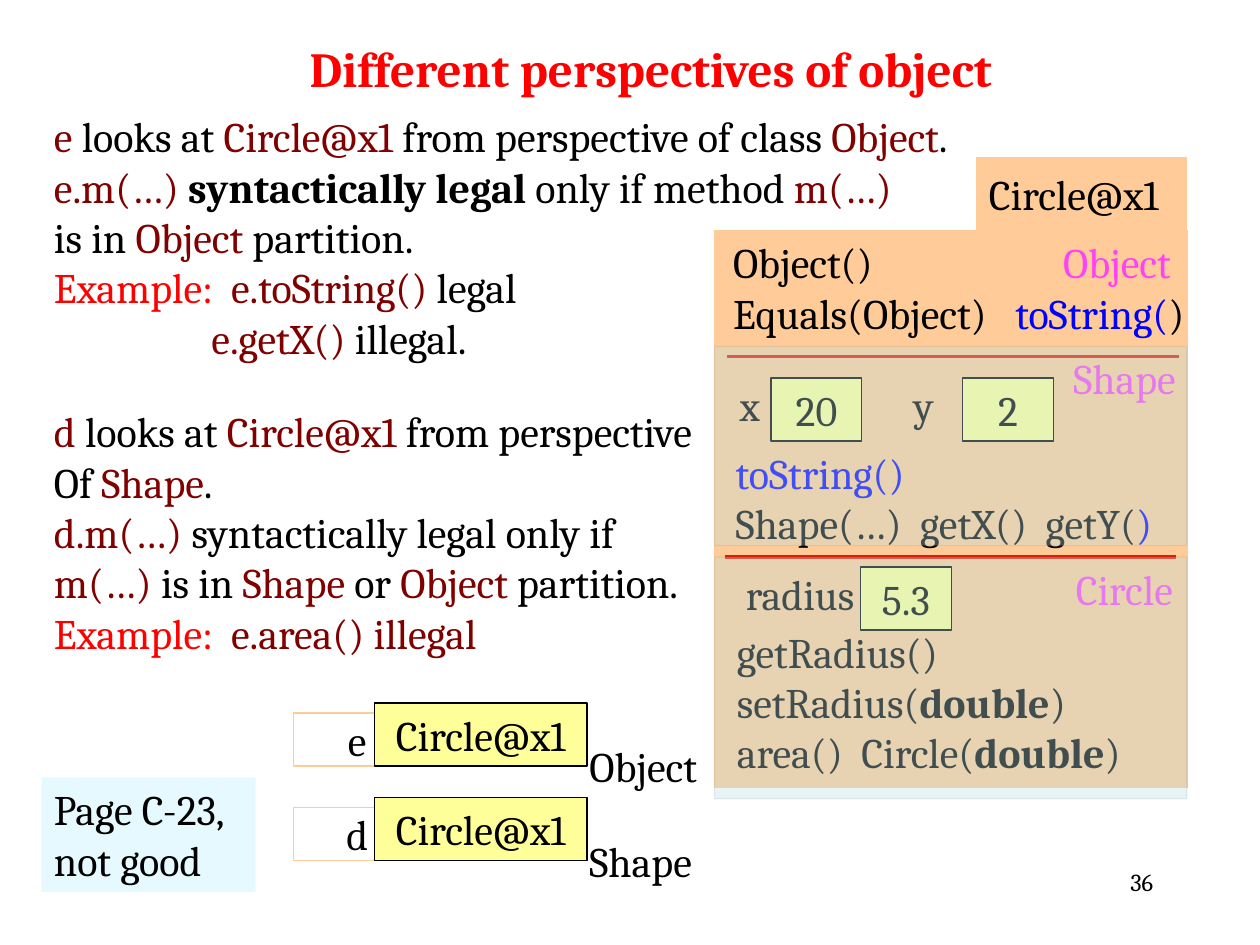
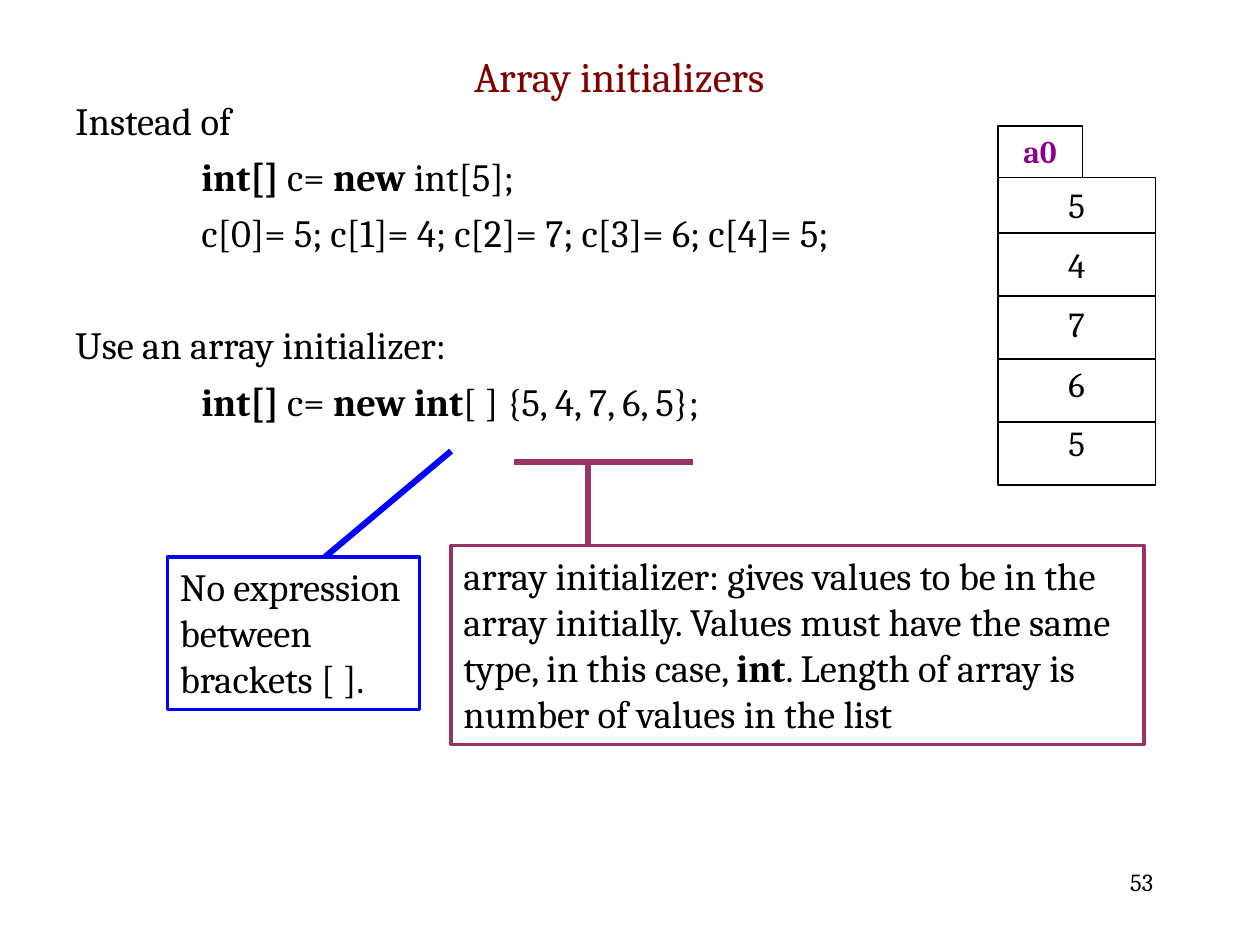
from lxml.etree import SubElement
from pptx import Presentation
from pptx.dml.color import RGBColor
from pptx.enum.shapes import MSO_CONNECTOR as Link, MSO_SHAPE as Form
from pptx.enum.text import MSO_ANCHOR as Anchor, PP_ALIGN as Align
from pptx.oxml.ns import qn
from pptx.util import Inches, Pt

FONT = "Cambria"
BLACK = RGBColor(0x00, 0x00, 0x00)
RED = RGBColor(0xFF, 0x00, 0x00)
MAROON = RGBColor(0x80, 0x00, 0x00)
BLUE = RGBColor(0x00, 0x00, 0xFF)
PINK = RGBColor(0xFF, 0x42, 0xF4)
PURPLE = RGBColor(0x8B, 0x00, 0x8C)
PLUM = RGBColor(0x99, 0x33, 0x66)
RULE = RGBColor(0xE4, 0x19, 0x00)
PEACH = RGBColor(0xFF, 0xCC, 0x99)
YELLOW = RGBColor(0xFF, 0xFF, 0x99)
ICE = RGBColor(0xE5, 0xF9, 0xFF)
TEAL = RGBColor(0xBB, 0xE0, 0xE3)


def write(shape, lines, size=24, ink=BLACK, bold=False, align=Align.LEFT,
          anchor=Anchor.TOP, wrap=True, gap=0):
    """Fill a shape with lines of plain strings or (text, ink, bold) runs."""
    frame = shape.text_frame
    frame.word_wrap = wrap
    frame.vertical_anchor = anchor
    for i, line in enumerate(lines):
        para = frame.add_paragraph() if i else frame.paragraphs[0]
        para.alignment = align
        if i and gap:
            para.space_before = Pt(gap)
        font = para.font
        font.name, font.size, font.bold = FONT, Pt(size), bold
        font.color.rgb = ink
        for part in [line] if isinstance(line, str) else line:
            text, tint, heavy = (*([part] if isinstance(part, str) else part), None, None)[:3]
            run = para.add_run()
            run.text = text
            if tint is not None:
                run.font.color.rgb = tint
            if heavy:
                run.font.bold = True
    return frame.paragraphs


def label(slide, x, y, w, h, lines, **style):
    """Add a text box and return its paragraphs."""
    box = slide.shapes.add_textbox(Inches(x), Inches(y), Inches(w), Inches(h))
    return write(box, lines, **style)


def block(slide, x, y, w, h, fill=None, line=None, width=0.75, lines=(), **style):
    """Add a rectangle with optional fill, outline and text."""
    box = slide.shapes.add_shape(Form.RECTANGLE, Inches(x), Inches(y), Inches(w), Inches(h))
    box.shadow.inherit = False
    if fill is None:
        box.fill.background()
    else:
        box.fill.solid()
        box.fill.fore_color.rgb = fill
    if line is None:
        box.line.fill.background()
    else:
        box.line.color.rgb = line
        box.line.width = Pt(width)
    if lines:
        write(box, lines, **style)
    return box


def stroke(slide, x1, y1, x2, y2, ink, width):
    """Draw a straight line without a shadow."""
    line = slide.shapes.add_connector(Link.STRAIGHT, *map(Inches, (x1, y1, x2, y2)))
    line.line.color.rgb = ink
    line.line.width = Pt(width)
    SubElement(line._element.spPr, qn("a:effectLst"))


def indent(para, inches):
    """Set the left margin of a paragraph."""
    para._p.get_or_add_pPr().set("marL", str(Inches(inches)))


def add_tab(para, inches):
    """Put a tab stop ahead of the paragraph's font settings."""
    props = para._p.get_or_add_pPr()
    tabs = SubElement(props, qn("a:tabLst"))
    SubElement(tabs, qn("a:tab"), pos=str(Inches(inches)), algn="l")
    props.insert(list(props).index(props.find(qn("a:defRPr"))), tabs)


def veil(slide, x, y, w, h):
    """Cover a region with a translucent tint."""
    box = block(slide, x, y, w, h, TEAL, BLACK)
    for color, alpha in zip(box._element.spPr.iter(qn("a:srgbClr")), (35, 5)):
        SubElement(color, qn("a:alpha"), val=str(alpha * 1000))


def footer(slide, number):
    """Add the page number."""
    label(slide, 7.17, 6.83, 2.08, 0.5, [number], size=14, align=Align.RIGHT)


def cell(slide, x, y, text):
    """Add the value box of a field."""
    block(slide, x, y, 0.72, 0.5, YELLOW, BLACK, lines=[text],
          align=Align.CENTER, anchor=Anchor.MIDDLE)


def name(slide, x, y, w, text, line=None):
    """Add the centred name of a variable or field."""
    block(slide, x, y, w, 0.42, None, line, 0, [text],
          align=Align.CENTER, anchor=Anchor.MIDDLE, wrap=False)


def variable(slide, x, y, text, kind):
    """Draw a variable, its value and its type."""
    name(slide, x, y + 0.08, 1.01, text, PEACH)
    block(slide, x + 0.64, y, 1.69, 0.5, YELLOW, BLACK, lines=["Circle@x1"], align=Align.CENTER)
    label(slide, x + 2.25, y + 0.25, 1.2, 0.51, [kind])


def folder(slide, x, y):
    """Draw the Circle object with its three partitions."""
    block(slide, x, y + 0.58, 3.75, 4.42, PEACH, PEACH)
    block(slide, x + 2.08, y, 1.67, 0.58, PEACH, PEACH,
          lines=["Circle@x1"], anchor=Anchor.MIDDLE)
    methods = label(slide, x + 0.05, y + 0.58, 3.8, 0.91, [
        "Object()", ["Equals(Object)\t", ("toString(", BLUE), ")"]])
    add_tab(methods[1], 2.24)
    stroke(slide, x + 0.1, y + 1.58, x + 3.69, y + 1.58, RULE, 2)
    name(slide, x + 0.03, y + 1.75, 0.5, "x")
    cell(slide, x + 0.45, y + 1.75, "20")
    name(slide, x + 1.41, y + 1.75, 0.5, "y")
    cell(slide, x + 1.97, y + 1.75, "2")
    label(slide, x + 0.07, y + 2.25, 3.68, 0.91, [
        [("toString()", BLUE)], ["Shape(…)  getX()  getY(", (")", BLUE)]])
    stroke(slide, x + 0.08, y + 3.17, x + 3.66, y + 3.17, RULE, 2)
    name(slide, x, y + 3.25, 1.36, "radius")
    cell(slide, x + 1.16, y + 3.25, "5.3")
    block(slide, x + 0.08, y + 3.67, 3.5, 1.33, lines=[
        "getRadius()",
        ["setRadius(", ("double", BLACK, True), ")"],
        ["area()  Circle(", ("double", BLACK, True), ")"]])
    for dx, dy, text in ((2.67, 0.58, "Object"), (2.75, 1.5, "Shape"), (2.77, 3.17, "Circle")):
        label(slide, x + dx, y + dy, 1.2, 0.5, [text], ink=PINK)
    veil(slide, x, y + 1.5, 3.75, 1.58)
    veil(slide, x, y + 3.17, 3.75, 1.92)


def views(slide, x, y):
    """Explain what each variable can see."""
    rules = label(slide, x, y, 8.58, 2.12, [
        [("e ", MAROON), "looks at ", ("Circle@x1", MAROON),
         " from perspective of class ", ("Object", MAROON), "."],
        [("e.m(…) ", MAROON), ("syntactically legal ", BLACK, True),
         "only if method ", ("m(…)", MAROON)],
        ["is in ", ("Object", MAROON), " partition."],
        [("Example:  ", RED), ("e.toString()", MAROON), " legal"],
        [("e.getX()", MAROON), " illegal."]])
    indent(rules[4], 1.25)
    label(slide, x, y + 2.34, 5.42, 2.12, [
        [("d ", MAROON), "looks at ", ("Circle@x1", MAROON), " from perspective"],
        ["Of ", ("Shape", MAROON), "."],
        [("d.m(…)", MAROON), " syntactically legal only if"],
        [("m(…)", MAROON), " is in ", ("Shape ", MAROON), "or",
         (" Object ", MAROON), "partition."],
        [("Example:  ", RED), ("e.area() illegal", MAROON)]])


def objects(slide):
    """Build the slide on perspectives of an object."""
    label(slide, 2, 0.25, 6.33, 0.58, ["Different perspectives of object"], size=28,
          ink=RED, bold=True, align=Align.CENTER, anchor=Anchor.MIDDLE)
    footer(slide, "36")
    block(slide, 0.33, 6.17, 1.7, 0.91, ICE, lines=["Page C-23,", "not good"])
    for i, (text, kind) in enumerate((("e", "Object"), ("d", "Shape"))):
        variable(slide, 2.33, 5.58 + 0.75 * i, text, kind)
    folder(slide, 5.67, 1.25)
    views(slide, 0.33, 0.83)


def array(slide, x, y):
    """Draw the array with its tag and five values."""
    block(slide, x, y, 0.67, 0.41, None, BLACK, lines=["a0"], size=18,
          ink=PURPLE, bold=True, align=Align.CENTER)
    block(slide, x, y + 0.41, 1.25, 2.44, None, BLACK, lines="54765", size=20,
          align=Align.CENTER, gap=10)
    for i in range(4):
        row = y + 0.85 + 0.5 * i
        stroke(slide, x, row, x + 1.25, row, BLACK, 0.75)


def code(slide, x, y):
    """Compare assignments with an initializer."""
    paras = label(slide, x, y, 8.75, 2.96, [
        "Instead of",
        [("int[]", BLACK, True), " c= ", ("new ", BLACK, True), "int[5];"],
        "c[0]= 5; c[1]= 4; c[2]= 7; c[3]= 6; c[4]= 5;",
        "Use an array initializer:",
        [("int[]", BLACK, True), " c= ", ("new int", BLACK, True), "[ ] {5, 4, 7, 6, 5};"],
    ], size=22, gap=11)
    for para in paras:
        para.line_spacing = 0.8
    for i in (1, 2, 4):
        indent(paras[i], 1)
    paras[3].space_before = Pt(43)


def notes(slide, x, y):
    """Add the two callouts with their pointers."""
    stroke(slide, x + 2.75, y + 0.09, x + 4.17, y + 0.09, PLUM, 3.5)
    stroke(slide, x + 3.34, y + 0.09, x + 3.34, y + 0.75, PLUM, 3.5)
    block(slide, x + 2.25, y + 0.75, 5.5, 1.58, None, PLUM, 2, [[
        "array initializer: gives values to be in the array initially. "
        "Values must have the same type, in this case, ", ("int", BLACK, True),
        ". Length of array is number of values in the list"]], size=22)
    block(slide, x, y + 0.84, 2, 1.21, None, BLUE, 2,
          ["No expression between brackets [ ]."], size=22)
    stroke(slide, x + 2.25, y, x + 1.25, y + 0.84, BLUE, 3.5)


def arrays(slide):
    """Build the slide on array initializers."""
    footer(slide, "53")
    label(slide, 0.58, 0.35, 8.67, 0.5, ["Array initializers"], ink=MAROON, align=Align.CENTER)
    code(slide, 0.5, 0.79)
    array(slide, 7.92, 1)
    notes(slide, 1.33, 3.58)


def main():
    """Build and save the deck."""
    deck = Presentation()
    deck.slide_width, deck.slide_height = Inches(10), Inches(7.5)
    for build in (objects, arrays):
        build(deck.slides.add_slide(deck.slide_layouts[6]))
    deck.save("out.pptx")


if __name__ == "__main__":
    main()
